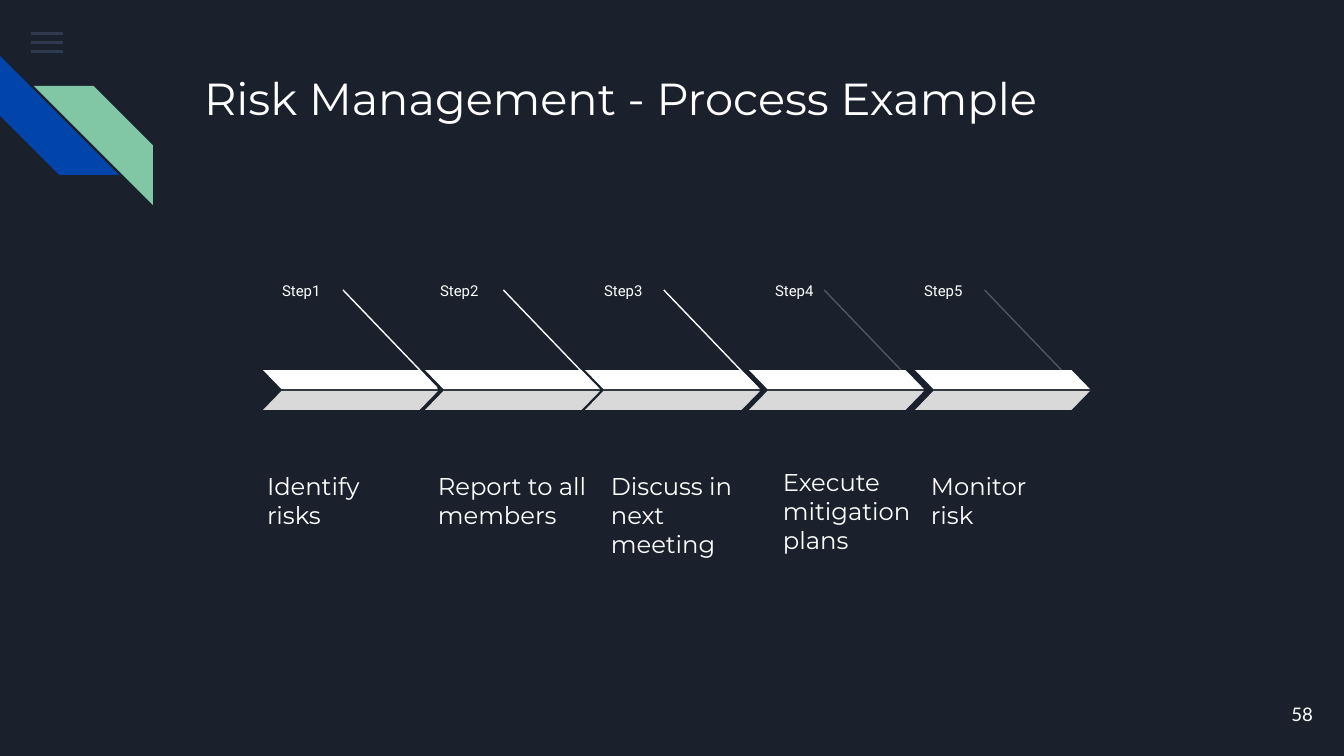
from lxml.etree import SubElement
from pptx import Presentation
from pptx.dml.color import RGBColor
from pptx.enum.shapes import MSO_CONNECTOR, MSO_SHAPE
from pptx.enum.text import MSO_ANCHOR, MSO_AUTO_SIZE, PP_ALIGN
from pptx.oxml.ns import qn
from pptx.util import Pt

NAVY = RGBColor(0x1B, 0x21, 0x2C)
SLATE = RGBColor(0x55, 0x68, 0x8B)
BLUE = RGBColor(0x01, 0x45, 0xAC)
GREEN = RGBColor(0x82, 0xC7, 0xA5)
WHITE = RGBColor(0xFF, 0xFF, 0xFF)
GREY = RGBColor(0xD9, 0xD9, 0xD9)
DIM = RGBColor(0x4E, 0x55, 0x67)

TITLE = "Risk Management - Process Example"
PAGE_NUMBER = "58"
# label, label left, band left, pointer colour, caption, caption (left, top, width)
STEPS = [
    ("Step1", 269, 263, WHITE, "Identify risks", (254, 458, 175)),
    ("Step2", 427, 425, WHITE, "Report to all members", (425, 458, 183)),
    ("Step3", 591, 585, WHITE, "Discuss in next meeting", (598, 458, 167)),
    ("Step4", 762, 749, DIM, "Execute mitigation plans", (770, 454, 167)),
    ("Step5", 911, 915, DIM, "Monitor risk", (918, 458, 167)),
]
POINTER_LEFT, POINTER_PITCH = 343, 160.4
BAND_WIDTH, BAND_HEIGHT = 175, 19


def px(value):
    return round(value * 914400 / 134.4)


def add_block(page, preset, left, top, width, height, color, adjust=None, flip=False):
    shape = page.shapes.add_shape(preset, px(left), px(top), px(width), px(height))
    shape.shadow.inherit = False
    shape.fill.solid()
    shape.fill.fore_color.rgb = color
    shape.line.fill.background()
    if adjust is not None:
        shape.adjustments[0] = adjust
    if flip:
        shape._element.spPr.find(qn("a:xfrm")).set("flipH", "1")
    return shape


def write(box, text, size, font, align=PP_ALIGN.LEFT, anchor=MSO_ANCHOR.TOP):
    frame = box.text_frame
    frame.word_wrap = True
    frame.auto_size = MSO_AUTO_SIZE.NONE
    frame.vertical_anchor = anchor
    frame.margin_left = frame.margin_right = px(13)
    frame.margin_top = frame.margin_bottom = px(13)
    para = frame.paragraphs[0]
    para.alignment = align
    span = para.add_run()
    span.text = text
    span.font.size = Pt(size)
    span.font.name = font
    span.font.color.rgb = WHITE


def add_text(page, left, top, width, height, *style):
    box = page.shapes.add_textbox(px(left), px(top), px(width), px(height))
    write(box, *style)


def add_pointer(page, left, color):
    line = page.shapes.add_connector(
        MSO_CONNECTOR.STRAIGHT, px(left), px(290), px(left + 94), px(388))
    line.line.color.rgb = color
    line.line.width = Pt(0.75)
    SubElement(line._element.spPr, qn("a:effectLst"))


deck = Presentation()
deck.slide_width, deck.slide_height = px(1344), px(756)
page = deck.slides.add_slide(deck.slide_layouts[5])
page.background.fill.solid()
page.background.fill.fore_color.rgb = NAVY

# Menu icon
for row in range(3):
    bar = add_block(page, MSO_SHAPE.RECTANGLE, 31, 32 + 9 * row, 32, 3, SLATE)
    SubElement(bar.fill._xPr.find(".//" + qn("a:srgbClr")), qn("a:alpha"), val="36000")

# Corner stripes
stripe = add_block(page, MSO_SHAPE.DIAGONAL_STRIPE, 0, 56, 119, 119, BLUE, 0.5)
stripe.rotation = 270
add_block(page, MSO_SHAPE.DIAGONAL_STRIPE, 34, 86, 119, 119, GREEN, 0.5, flip=True)

# Title and page number
title = page.shapes.title
title.left, title.top, title.width, title.height = px(191), px(58), px(1035), px(134)
write(title, TITLE, 24, "Montserrat")
add_text(page, 1246, 685, 80, 58, PAGE_NUMBER, 10, "Lato", PP_ALIGN.RIGHT, MSO_ANCHOR.MIDDLE)

# Process steps
for index, (label, label_left, band_left, color, caption, place) in enumerate(STEPS):
    add_pointer(page, POINTER_LEFT + POINTER_PITCH * index, color)
    for top, fill, flip in ((370, WHITE, True), (391, GREY, False)):
        add_block(page, MSO_SHAPE.PARALLELOGRAM, band_left, top,
                  BAND_WIDTH, BAND_HEIGHT, fill, 0.97, flip)
    add_text(page, label_left, 269, 79, 31, label, 8, "Roboto")
    left, top, width = place
    add_text(page, left, top, width, 98, caption, 13, "Montserrat")

deck.save("out.pptx")
